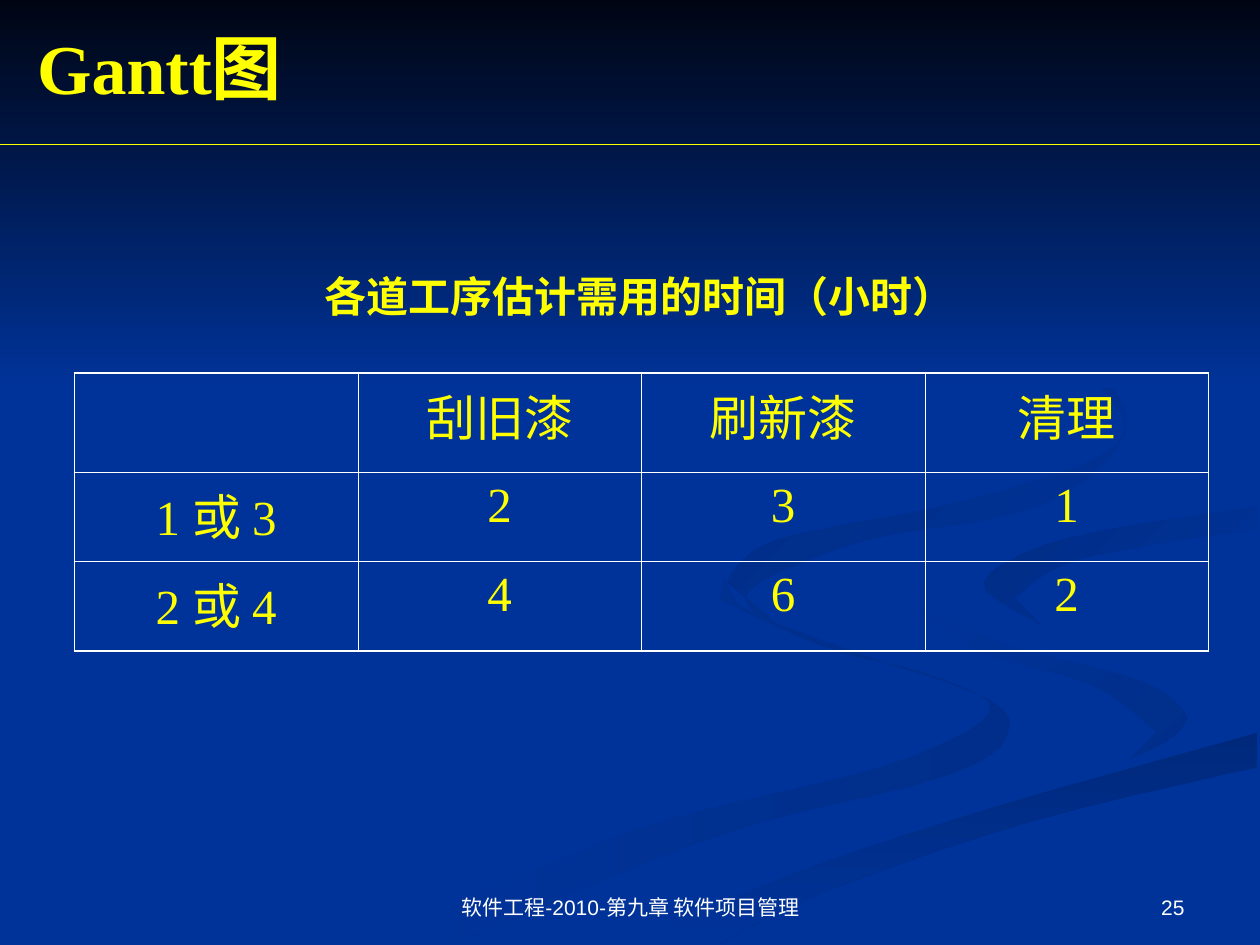
from lxml import etree
from pptx import Presentation
from pptx.dml.color import RGBColor
from pptx.enum import shapes, text
from pptx.oxml.ns import qn
from pptx.util import Cm, Pt

YELLOW, WHITE, BLUE = "FFFF00", "FFFFFF", "003399"
SERIF, SANS = "Times New Roman", "Arial"
GRID = Cm(0.0254)  # unit of the ribbon points
STEPS = 5          # straight pieces between two ribbon points

# start colour, end colour, clockwise angle, edges joined into one outline
RIBBONS = [
    ("002E8A", BLUE, 180, [
        [(575, 459), (594, 485), (682, 519), (781, 553), (800, 581),
         (756, 614), (564, 665), (361, 749)],
        [(300, 749), (499, 661), (699, 609), (785, 566), (745, 538),
         (654, 513), (572, 476)]]),
    ("002E8A", BLUE, 225, [
        [(894, 605), (932, 589), (943, 570), (905, 540), (792, 509), (724, 464)],
        [(733, 488), (781, 518), (868, 544), (918, 581)]]),
    ("00297C", BLUE, 90, [
        [(571, 749), (649, 710), (821, 651), (998, 609)],
        [(998, 581), (797, 638), (630, 693), (503, 749)]]),
    (BLUE, BLUE, 0, [
        [(999, 387), (808, 417), (725, 464), (792, 509), (905, 540),
         (943, 570), (881, 608), (663, 668), (477, 749)],
        [(503, 749), (630, 693), (797, 638), (999, 581)],
        [(999, 538), (848, 503), (782, 465), (835, 430), (999, 402)]]),
    (BLUE, "002C85", 225, [
        [(998, 402), (849, 427), (781, 462), (826, 496)],
        [(805, 474), (859, 443), (998, 420)]]),
    (BLUE, "002B81", 225, [
        [(762, 233), (864, 291), (893, 344), (825, 402), (683, 430),
         (593, 470), (622, 500)],
        [(577, 462), (615, 429), (763, 398), (876, 360), (885, 320), (805, 254)]]),
]

ROWS = [
    ["", "刮旧漆", "刷新漆", "清理"],
    ["1 或 3", "2", "3", "1"],
    ["2 或 4", "4", "6", "2"],
]


def rgb(value):
    return RGBColor.from_string(value)


def smooth(knots):
    """Points of a Catmull-Rom curve through the knots."""
    ends = [knots[0], *knots, knots[-1]]
    points = []
    for a, b, c, d in zip(ends, ends[1:], ends[2:], ends[3:]):
        for step in range(STEPS):
            t = step / STEPS
            points.append(tuple(
                round(q + t * (r - p + t * (2 * p - 5 * q + 4 * r - s
                                            + t * (3 * q - p - 3 * r + s))) / 2)
                for p, q, r, s in zip(a, b, c, d)))
    return points + [knots[-1]]


def paint(sp, start, end, angle):
    sp.shadow.inherit = False
    sp.line.fill.background()
    if start == end:
        sp.fill.solid()
        sp.fill.fore_color.rgb = rgb(start)
        return
    sp.fill.gradient()
    sp.fill.gradient_angle = 360 - angle
    for stop, position, colour in zip(sp.fill.gradient_stops, (0, 1), (start, end)):
        stop.position = position
        stop.color.rgb = rgb(colour)


def add_ribbon(slide, start, end, angle, edges):
    points = [point for edge in edges for point in smooth(edge)]
    builder = slide.shapes.build_freeform(*points[0], scale=GRID)
    builder.add_line_segments(points[1:])
    paint(builder.convert_to_shape(), start, end, angle)


def add_top_band(slide):
    sp = slide.shapes.add_shape(
        shapes.MSO_SHAPE.RECTANGLE, 0, 0, Cm(25.4), Cm(7.82))
    paint(sp, "000514", BLUE, 90)


def style(p, size, font, colour, align, bold=False, before=0):
    p.alignment = align
    p.space_before = Pt(before)
    p.font.size, p.font.name, p.font.bold = Pt(size), font, bold
    p.font.color.rgb = rgb(colour)


def add_text(slide, words, box, anchor, **look):
    tf = slide.shapes.add_textbox(*map(Cm, box)).text_frame
    tf.word_wrap = True
    tf.vertical_anchor = anchor
    p = tf.paragraphs[0]
    p.text = words
    style(p, **look)


def add_rule(slide, top):
    line = slide.shapes.add_connector(
        shapes.MSO_CONNECTOR.STRAIGHT, 0, Cm(top), Cm(25.4), Cm(top))
    line.line.color.rgb = rgb(YELLOW)
    line.line.width = Pt(0.75)
    etree.SubElement(line._element.spPr, qn("a:effectLst"))


def set_borders(cell, widths):
    """Widths in points, for the left, right, top and bottom edges."""
    tc_pr = cell._tc.get_or_add_tcPr()
    for i, (side, width) in enumerate(zip("LRTB", widths)):
        ln = etree.Element(qn(f"a:ln{side}"), w=str(Pt(width)))
        fill = etree.SubElement(ln, qn("a:solidFill"))
        etree.SubElement(fill, qn("a:srgbClr"), val=WHITE)
        tc_pr.insert(i, ln)


def add_time_table(slide):
    last_row, last_col = len(ROWS) - 1, len(ROWS[0]) - 1
    table = slide.shapes.add_table(
        len(ROWS), len(ROWS[0]), Cm(1.5), Cm(7.52), Cm(22.86), Cm(5.6)).table
    table.first_row = table.horz_banding = False
    for row, height in zip(table.rows, (2, 1.8, 1.8)):
        row.height = Cm(height)
    for i, row in enumerate(ROWS):
        for j, words in enumerate(row):
            cell = table.cell(i, j)
            cell.fill.background()
            p = cell.text_frame.paragraphs[0]
            p.text = words
            style(p, 28, SERIF, YELLOW, text.PP_ALIGN.CENTER, before=7)
            outer = (j == 0, j == last_col, i == 0, i == last_row)
            set_borders(cell, [1.08 if edge else 0.45 for edge in outer])


def main():
    prs = Presentation()
    prs.slide_width, prs.slide_height = Cm(25.4), Cm(19.05)
    slide = prs.slides.add_slide(prs.slide_layouts[6])
    slide.background.fill.solid()
    slide.background.fill.fore_color.rgb = rgb(BLUE)
    for ribbon in RIBBONS:
        add_ribbon(slide, *ribbon)
    add_top_band(slide)

    align, anchor = text.PP_ALIGN, text.MSO_ANCHOR
    heading = dict(font=SERIF, colour=YELLOW, bold=True)
    footer = dict(size=12, font=SANS, colour=WHITE)
    add_text(slide, "Gantt图", (0.5, 0.36, 22.86, 1.96), anchor.MIDDLE,
             size=40, align=align.LEFT, **heading)
    add_rule(slide, 2.92)
    add_time_table(slide)
    add_text(slide, "各道工序估计需用的时间（小时）", (5.69, 5.33, 14.4, 1.27),
             anchor.TOP, size=24, align=align.CENTER, before=15, **heading)
    add_text(slide, "软件工程-2010-第九章 软件项目管理", (8.69, 17.35, 8.05, 1.32),
             anchor.BOTTOM, align=align.CENTER, **footer)
    add_text(slide, "25", (18.21, 17.35, 5.92, 1.32), anchor.BOTTOM,
             align=align.RIGHT, **footer)
    prs.save("out.pptx")


if __name__ == "__main__":
    main()
